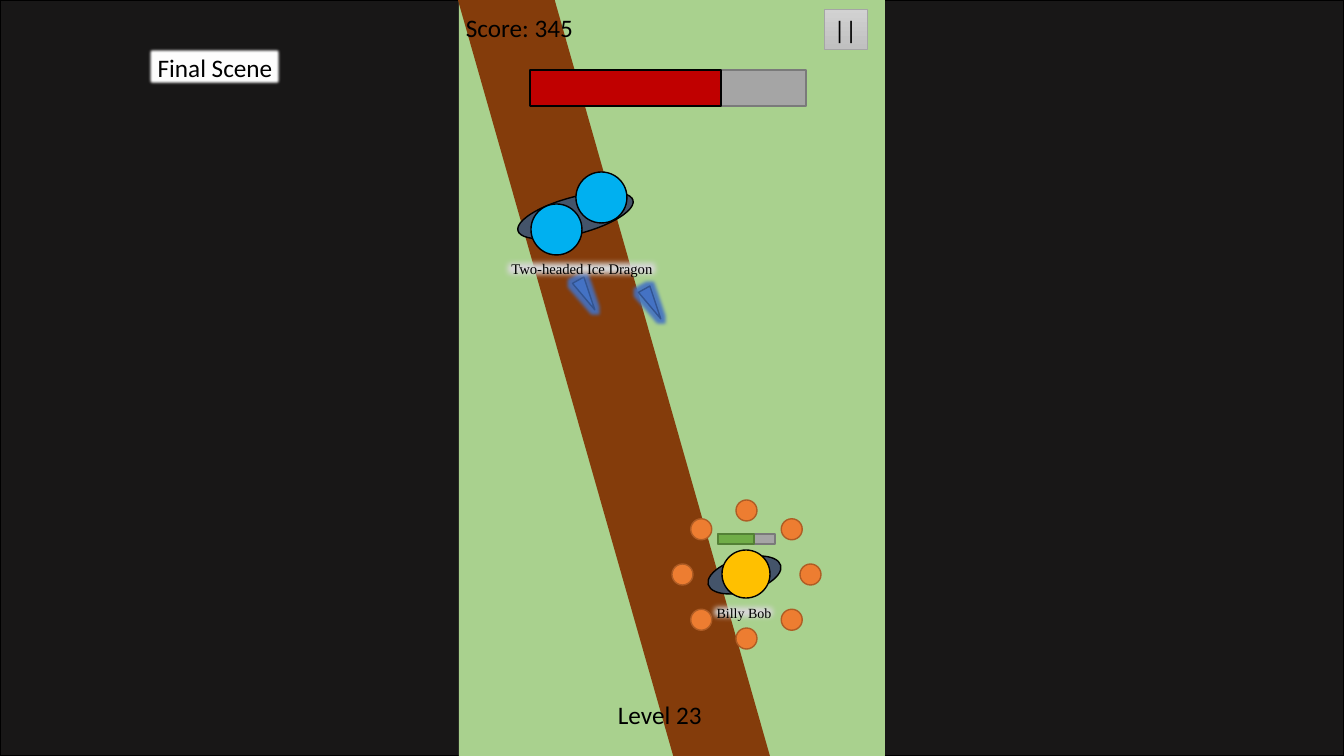
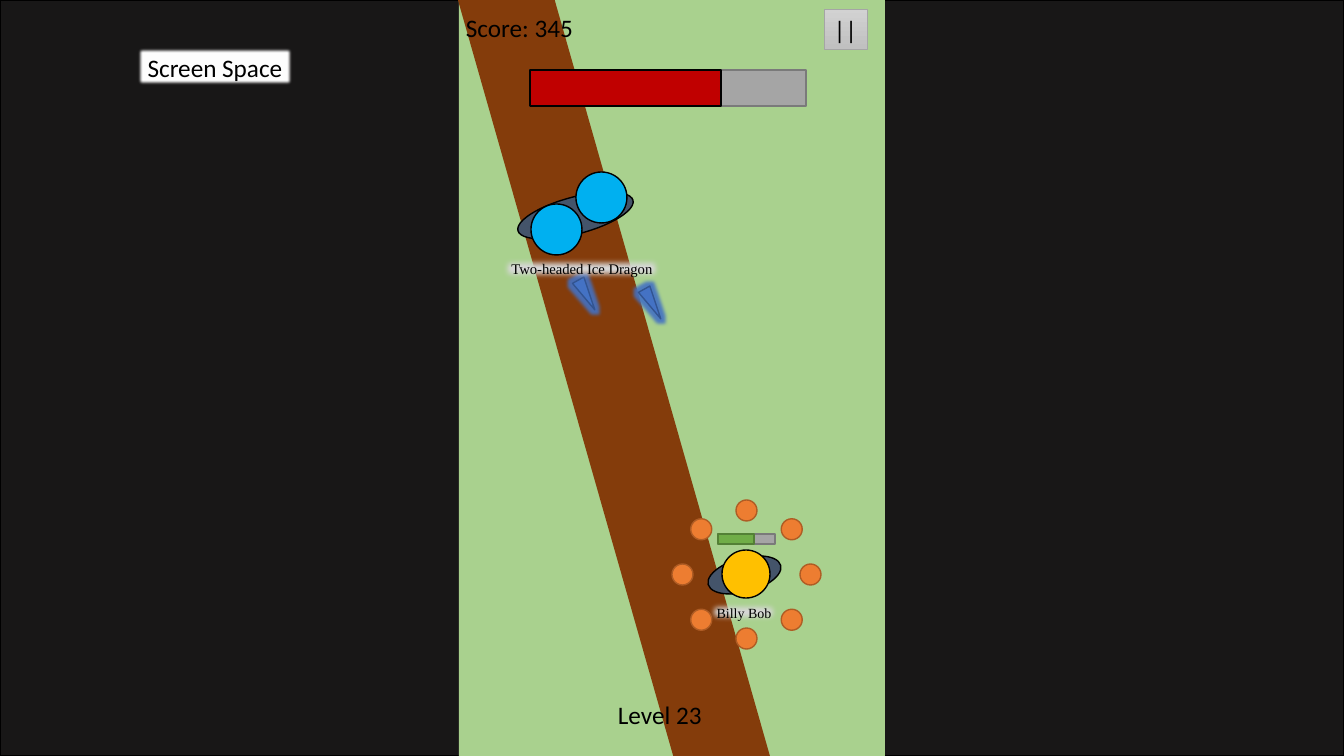
import math
from lxml import etree
from pptx import Presentation
from pptx import util as u
from pptx.dml.color import RGBColor
from pptx.enum import shapes, text
from pptx.oxml.ns import qn

PX = 12192000 / 1344
WIDE, HIGH = 1344, 756
KIND = shapes.MSO_SHAPE
TILT = 345.2

BLACK = RGBColor(0x00, 0x00, 0x00)
WHITE = RGBColor(0xFF, 0xFF, 0xFF)
NIGHT = RGBColor(0x18, 0x17, 0x17)
GRASS = RGBColor(0xA9, 0xD1, 0x8E)
ROAD = RGBColor(0x84, 0x3C, 0x0B)
ORANGE = RGBColor(0xED, 0x7D, 0x31)
RUST = RGBColor(0xAF, 0x5C, 0x24)
SLATE = RGBColor(0x44, 0x54, 0x6A)
GOLD = RGBColor(0xFF, 0xC0, 0x00)
ICE = RGBColor(0x00, 0xB0, 0xF0)
BLUE = RGBColor(0x44, 0x72, 0xC4)
NAVY = RGBColor(0x32, 0x54, 0x91)
GRAY = RGBColor(0xA5, 0xA5, 0xA5)
STEEL = RGBColor(0x7A, 0x7A, 0x7A)
GREEN = RGBColor(0x70, 0xAD, 0x47)
MOSS = RGBColor(0x53, 0x80, 0x35)
RED = RGBColor(0xC0, 0x00, 0x00)
MIST = RGBColor(0xD9, 0xD9, 0xD9)
LIGHT = RGBColor(0xD2, 0xD2, 0xD2)
SHADE = RGBColor(0xC0, 0xC0, 0xC0)


def emu(*sizes):
    """Turn pixels into EMU."""
    return [round(size * PX) for size in sizes]


def draw(slide, kind, box, fill=None, line=None, width=1, turn=0):
    """Add a preset shape at a pixel box."""
    shape = slide.shapes.add_shape(kind, *emu(*box))
    shape.shadow.inherit = False
    shape.rotation = turn
    if fill is not None:
        shape.fill.solid()
        shape.fill.fore_color.rgb = fill
    if line is None:
        shape.line.fill.background()
    else:
        shape.line.color.rgb = line
        shape.line.width = u.Pt(width)
    return shape


def effect(shape, name, points):
    """Add a soft edge or a glow to a shape and return its element."""
    effects = shape._element.spPr.find(qn("a:effectLst"))
    return etree.SubElement(effects, qn("a:" + name), rad=str(u.Pt(points)))


def write(shape, words, size=18, font="Calibri", color=BLACK,
          align=text.PP_ALIGN.LEFT):
    """Write one unwrapped line of text in a shape."""
    frame = shape.text_frame
    frame.word_wrap = False
    frame.auto_size = text.MSO_AUTO_SIZE.SHAPE_TO_FIT_TEXT
    para = frame.paragraphs[0]
    para.alignment = align
    run = para.add_run()
    run.text = words
    run.font.size = u.Pt(size)
    run.font.name = font
    run.font.color.rgb = color


def label(slide, box, words, fill=MIST, soft=5, **style):
    """Add a soft-edged box with centred text."""
    shape = draw(slide, KIND.RECTANGLE, box, fill)
    effect(shape, "softEdge", soft)
    write(shape, words, align=text.PP_ALIGN.CENTER, **style)


def plain(slide, box, words):
    """Add a line of text without a fill."""
    write(slide.shapes.add_textbox(*emu(*box)), words)


def meter(slide, box, part, fill, line):
    """Add a gray bar with its first part filled."""
    x, y, w, h = box
    draw(slide, KIND.RECTANGLE, box, GRAY, STEEL)
    draw(slide, KIND.RECTANGLE, (x, y, part, h), fill, line)


def field(slide, box):
    """Draw the grass and the slanted road."""
    x, y, w, h = box
    draw(slide, KIND.RECTANGLE, box, GRASS)
    road = draw(slide, KIND.PARALLELOGRAM, (x - 1, y, 312, h), ROAD)
    road.adjustments[0] = 0.69
    road._element.spPr.xfrm.set("flipH", "1")


def dragon(slide, box):
    """Draw the dragon with its two heads."""
    x, y, w, h = box
    draw(slide, KIND.OVAL, (x, y + 25, w, 37), SLATE, BLACK, turn=TILT)
    for left, top in ((15, 32), (60, 0)):
        draw(slide, KIND.OVAL, (x + left, y + top, 51, 51), ICE, BLACK,
             turn=TILT)


def spike(slide, box):
    """Draw a glowing ice spike."""
    shape = draw(slide, KIND.ISOSCELES_TRIANGLE, box, BLUE, NAVY, turn=150.7)
    glow = effect(shape, "glow", 5)
    tint = etree.SubElement(glow, qn("a:srgbClr"), val=str(BLUE))
    etree.SubElement(tint, qn("a:alpha"), val="90000")


def hero(slide, box):
    """Draw the hero's body and head."""
    x, y, w, h = box
    draw(slide, KIND.OVAL, (x, y + 8, w, 34), SLATE, BLACK, turn=TILT)
    draw(slide, KIND.OVAL, (x + 15, y, h, h), GOLD, BLACK, turn=TILT)


def ring(slide, box, count=8, size=21):
    """Set orbs evenly on the circle inside the box."""
    x, y, w, h = box
    reach = (w - size) / 2
    for step in range(count):
        angle = math.tau * step / count
        left = x + reach * (1 + math.cos(angle))
        top = y + reach * (1 + math.sin(angle))
        draw(slide, KIND.OVAL, (left, top, size, size), ORANGE, RUST)


def pause(slide, box):
    """Draw the pause button."""
    shape = draw(slide, KIND.RECTANGLE, box, line=GRAY, width=0.5)
    shape.fill.gradient()
    shape.fill.gradient_angle = 270
    for stop, color in zip(shape.fill.gradient_stops, (LIGHT, SHADE)):
        stop.color.rgb = color
    write(shape, "||")


def game(slide, box):
    """Draw the whole game screen."""
    x, y, w, h = box
    field(slide, box)
    hero(slide, (x + 248, y + 550, 75, 48))
    dragon(slide, (x + 57, y + 172, 119, 62))
    for left, top in ((187, 287), (121, 278)):
        spike(slide, (x + left, y + top, 13, 34))
    ring(slide, (x + 213, y + 500, 149, 149))
    meter(slide, (x + 259, y + 534, 57, 10), 36, GREEN, MOSS)
    label(slide, (x + 247, y + 599, 76, 27), "Billy Bob", size=10,
          font="Times New Roman")
    label(slide, (x + 41, y + 255, 164, 28), "Two-headed Ice Dragon",
          size=10.5, font="Times New Roman")
    plain(slide, (x + 149, y + 694, 105, 40), "Level 23")
    pause(slide, (x + 365, y + 9, 43, 40))
    plain(slide, (x - 3, y + 7, 129, 40), "Score: 345")
    meter(slide, (x + 71, y + 70, 276, 36), 191, RED, BLACK)


def scene(deck, title, width):
    """Add a slide with the game on a dark ground and a caption."""
    slide = deck.slides.add_slide(deck.slide_layouts[6])
    draw(slide, KIND.RECTANGLE, (0, 0, WIDE, HIGH), NIGHT, BLACK)
    game(slide, (459, 0, 426, HIGH))
    label(slide, (215 - width / 2, 47, width, 40), title, fill=WHITE, soft=2.5)


deck = Presentation()
deck.slide_width, deck.slide_height = emu(WIDE, HIGH)
for title, width in (("Final Scene", 136), ("Screen Space", 157)):
    scene(deck, title, width)
deck.save("out.pptx")
